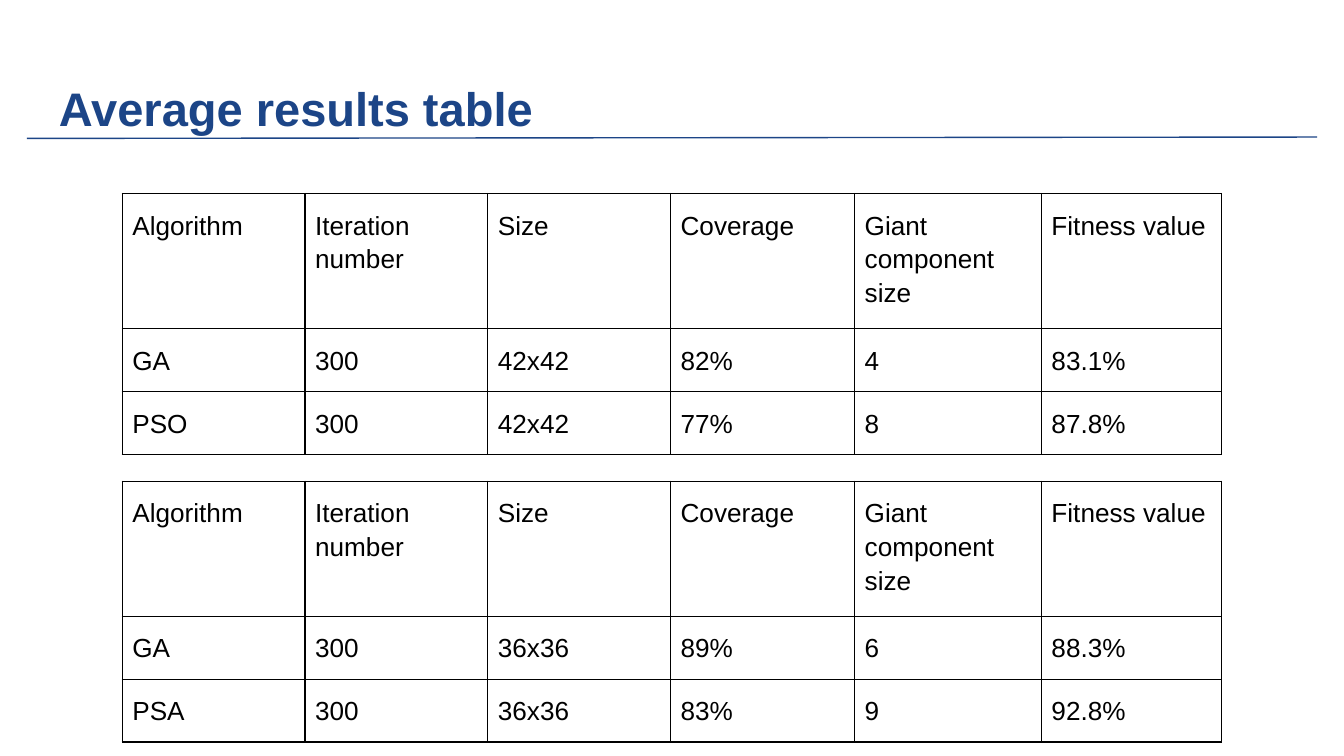
from lxml import etree
from pptx import Presentation
from pptx.dml.color import RGBColor
from pptx.enum.shapes import MSO_CONNECTOR
from pptx.enum.text import MSO_ANCHOR
from pptx.oxml.ns import qn
from pptx.util import Inches, Pt

STRAIGHT = MSO_CONNECTOR.STRAIGHT
BOTTOM = MSO_ANCHOR.BOTTOM
NAVY = RGBColor(0x1C, 0x45, 0x87)
BLACK = RGBColor(0, 0, 0)
FONT = "Arial"

TITLE = "Average results table"
HEADINGS = ("Algorithm", "Iteration number", "Size", "Coverage",
            "Giant component size", "Fitness value")
RESULTS = (
    (("GA", "300", "42x42", "82%", "4", "83.1%"),
     ("PSO", "300", "42x42", "77%", "8", "87.8%")),
    (("GA", "300", "36x36", "89%", "6", "88.3%"),
     ("PSA", "300", "36x36", "83%", "9", "92.8%")),
)

SLIDE_WIDTH = Inches(10)
SLIDE_HEIGHT = SLIDE_WIDTH * 9 // 16
COLUMN_WIDTHS = (1.36, 1.36, 1.36, 1.37, 1.39, 1.34)
ROW_HEIGHTS = (0.53, 0.28, 0.25)
TABLE_LEFT, FIRST_TOP, TABLE_STEP = 0.91, 1.44, 2.14
FRAME_SIDE = Inches(3.28)
BORDER_WIDTH = Pt(0.75)


def add_text(paragraph, text, size, color, bold=False):
    run = paragraph.add_run()
    run.text = text
    run.font.name = FONT
    run.font.size = Pt(size)
    run.font.color.rgb = color
    run.font.bold = bold


def set_borders(cell):
    properties = cell._tc.get_or_add_tcPr()
    for position, side in enumerate(("a:lnL", "a:lnR", "a:lnT", "a:lnB")):
        border = etree.Element(qn(side), w=str(BORDER_WIDTH))
        fill = etree.SubElement(border, qn("a:solidFill"))
        etree.SubElement(fill, qn("a:srgbClr"), val=str(BLACK))
        properties.insert(position, border)


def fill_cell(cell, text):
    cell.fill.background()
    cell.margin_left = cell.margin_right = Pt(5.4)
    cell.margin_top = cell.margin_bottom = Inches(0.1)
    paragraph = cell.text_frame.paragraphs[0]
    paragraph.line_spacing = 1.15
    add_text(paragraph, text, 14, BLACK)
    set_borders(cell)


def add_results(slide, top, rows):
    frame = slide.shapes.add_table(
        len(rows), len(HEADINGS), Inches(TABLE_LEFT), Inches(top),
        FRAME_SIDE, FRAME_SIDE)
    table = frame.table
    table.first_row = table.horz_banding = False
    for column, width in zip(table.columns, COLUMN_WIDTHS):
        column.width = Inches(width)
    for row, height, values in zip(table.rows, ROW_HEIGHTS, rows):
        row.height = Inches(height)
        for cell, value in zip(row.cells, values):
            fill_cell(cell, value)
    frame.width = frame.height = FRAME_SIDE


def add_heading(slide):
    heading = slide.shapes.add_textbox(
        Inches(0.34), Inches(0.48), Inches(9.32), Inches(0.63))
    frame = heading.text_frame
    frame.word_wrap = True
    frame.vertical_anchor = BOTTOM
    frame.margin_left = frame.margin_right = Inches(0.1)
    frame.margin_top = frame.margin_bottom = Inches(0.1)
    add_text(frame.paragraphs[0], TITLE, 25.2, NAVY, bold=True)


def add_rule(slide):
    rule = slide.shapes.add_connector(
        STRAIGHT, Inches(0.2), Inches(1.03), Inches(9.8), Inches(1.02))
    rule.line.color.rgb = NAVY
    rule.line.width = Pt(0.75)
    etree.SubElement(rule._element.spPr, qn("a:effectLst"))


def main():
    deck = Presentation()
    deck.slide_width, deck.slide_height = SLIDE_WIDTH, SLIDE_HEIGHT
    slide = deck.slides.add_slide(deck.slide_layouts[6])
    add_heading(slide)
    for index, results in enumerate(RESULTS):
        add_results(slide, FIRST_TOP + index * TABLE_STEP, (HEADINGS, *results))
    add_rule(slide)
    deck.save("out.pptx")


if __name__ == "__main__":
    main()
